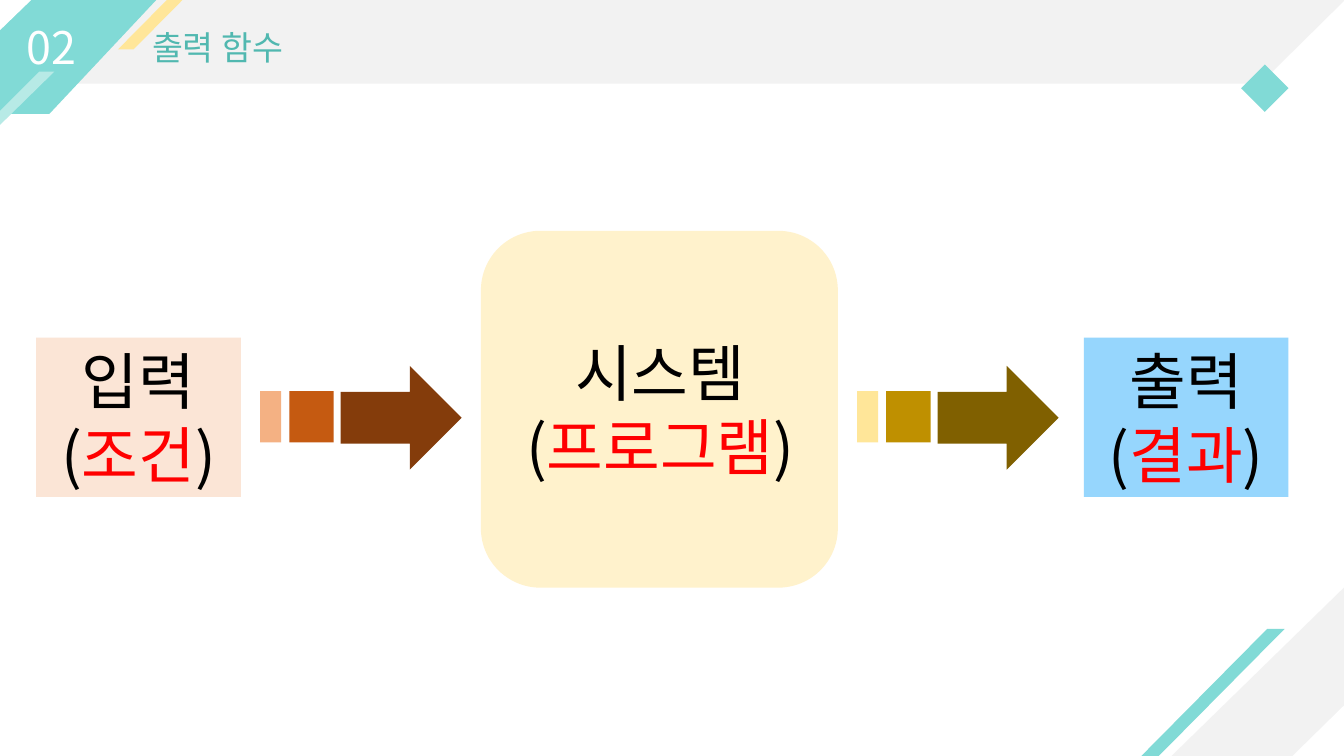
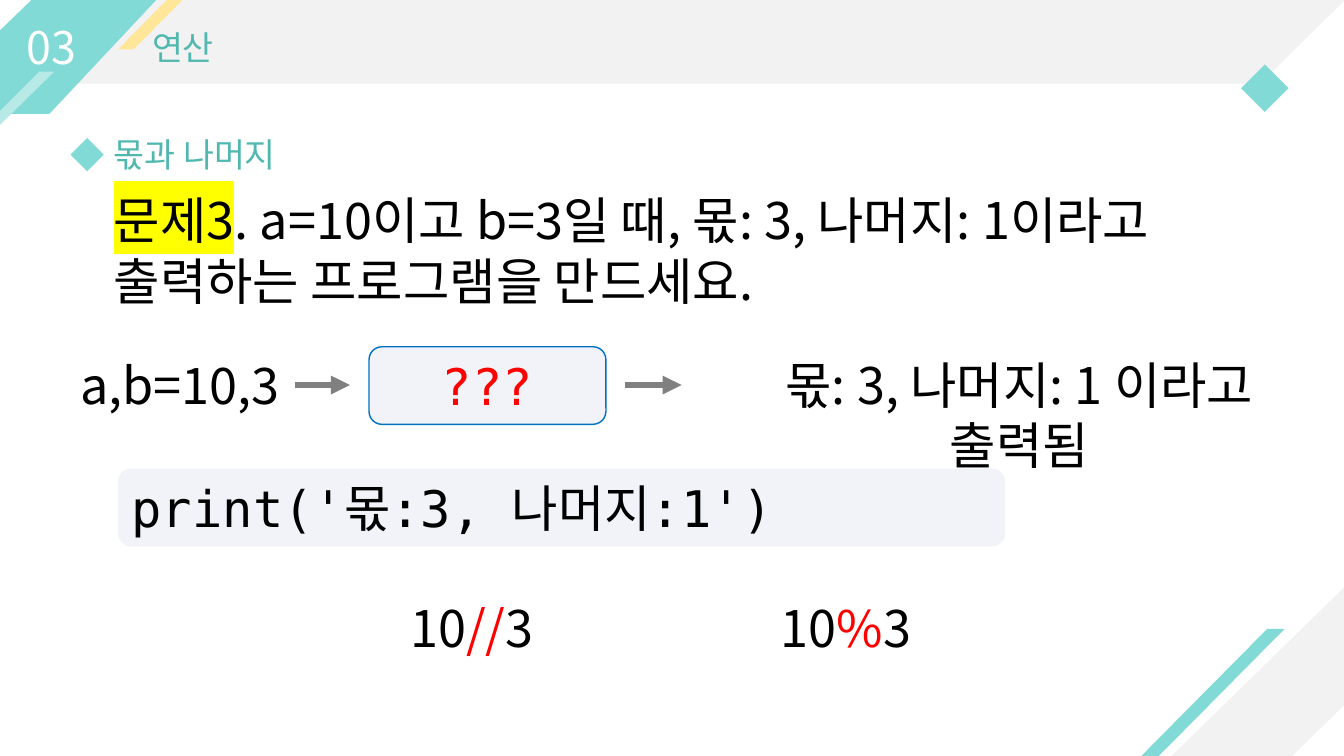
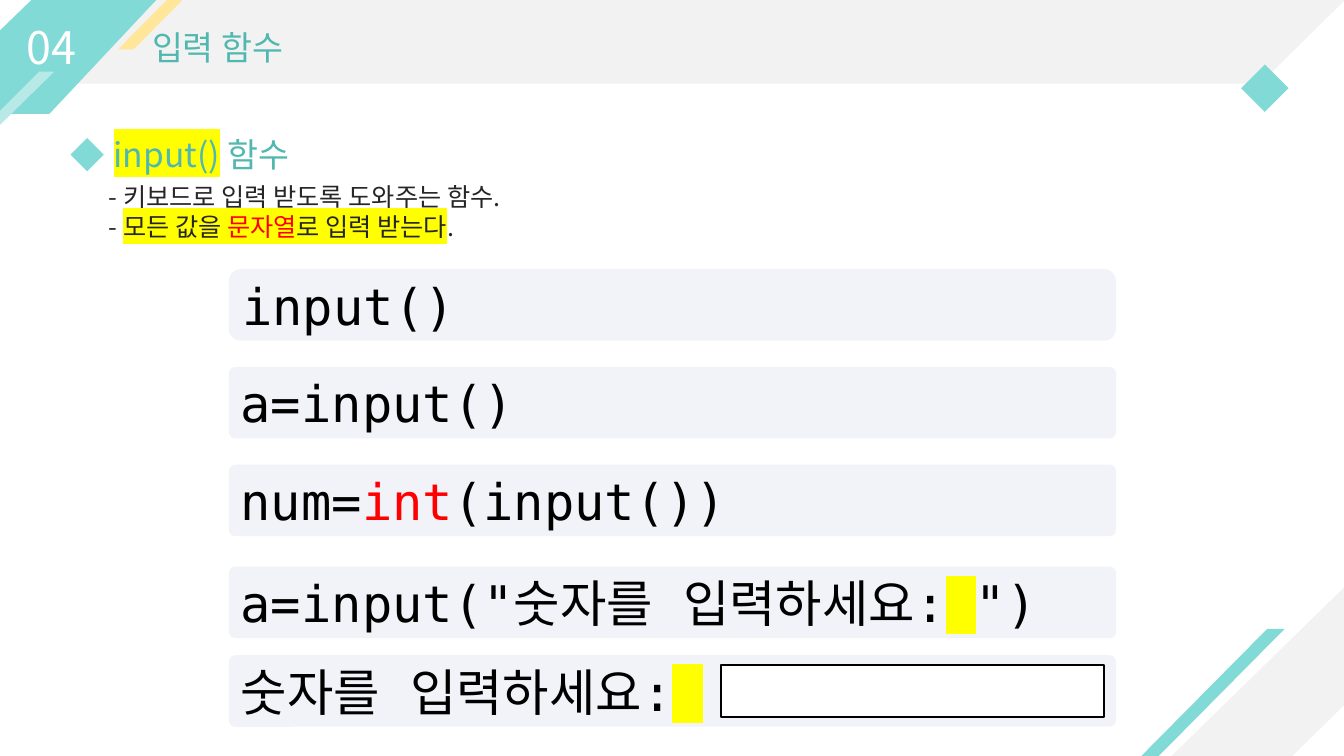
from dataclasses import dataclass

from lxml import etree
from pptx import Presentation
from pptx.dml.color import RGBColor
from pptx.enum.shapes import MSO_CONNECTOR, MSO_SHAPE
from pptx.enum.text import MSO_ANCHOR, MSO_AUTO_SIZE, PP_ALIGN
from pptx.oxml.ns import qn
from pptx.util import Inches, Pt

RECT = MSO_SHAPE.RECTANGLE
ROUND = MSO_SHAPE.ROUNDED_RECTANGLE
DIAMOND = MSO_SHAPE.DIAMOND
SLANT = MSO_SHAPE.PARALLELOGRAM
CORNER = MSO_SHAPE.RIGHT_TRIANGLE
ARROW = MSO_SHAPE.RIGHT_ARROW
STRAIGHT = MSO_CONNECTOR.STRAIGHT
LEFT = PP_ALIGN.LEFT
CENTER = PP_ALIGN.CENTER
TOP = MSO_ANCHOR.TOP
MIDDLE = MSO_ANCHOR.MIDDLE
GROW = MSO_AUTO_SIZE.SHAPE_TO_FIT_TEXT


@dataclass(frozen=True)
class Theme:
    sans: str = "Noto Sans CJK KR"
    mono: str = "DejaVu Sans Mono"
    teal: str = "81DAD6"
    pale_teal: str = "B7EAE6"
    heading: str = "51B8B0"
    band: str = "F2F2F2"
    gold: str = "FFE699"
    white: str = "FFFFFF"
    black: str = "000000"
    body: str = "262626"
    red: str = "FF0000"
    yellow: str = "FFFF00"
    code_fill: str = "F2F3F9"
    blue: str = "0070C0"
    gray: str = "808080"
    system: str = "FFF2CC"
    peach: str = "FBE5D6"
    sky: str = "96D6FD"
    browns: tuple = ("F4B183", "C55A11", "843C0B")
    olives: tuple = ("FFE699", "BF9000", "806000")
    big: int = 44
    large: int = 36
    number: int = 32
    title: int = 24
    small: int = 18


T = Theme()


class Deck:
    """Holds the presentation, its style and the current slide."""

    def __init__(self):
        self.prs = Presentation()
        self.prs.slide_width = Inches(13.33)
        self.prs.slide_height = Inches(7.5)
        self.s = None

    def paint(self, sp, fill, line=None, width=1):
        sp.shadow.inherit = False
        sp.fill.solid()
        sp.fill.fore_color.rgb = RGBColor.from_string(fill)
        if line:
            sp.line.color.rgb = RGBColor.from_string(line)
            sp.line.width = Pt(width)
        else:
            sp.line.fill.background()
        return sp

    def shape(self, kind, x, y, w, h, fill, line=None, width=1, adj=None, flip=None):
        sp = self.s.shapes.add_shape(kind, Inches(x), Inches(y), Inches(w), Inches(h))
        if adj is not None:
            sp.adjustments[0] = adj
        if flip:
            sp._element.spPr.get_or_add_xfrm().set(flip, "1")
        return self.paint(sp, fill, line, width)

    def outline(self, points, fill):
        pts = [(Inches(x), Inches(y)) for x, y in points]
        fb = self.s.shapes.build_freeform(*pts[0], scale=1.0)
        fb.add_line_segments(pts[1:], close=True)
        self.paint(fb.convert_to_shape(), fill)

    def set_text(self, sp, lines, size, color=T.black, font=T.sans, align=CENTER, anchor=TOP):
        tf = sp.text_frame
        tf.word_wrap = True
        tf.vertical_anchor = anchor
        for i, line in enumerate(lines):
            p = tf.add_paragraph() if i else tf.paragraphs[0]
            p.alignment = align
            for part in [line] if isinstance(line, str) else line:
                text, tint, mark = (part, None, None) if isinstance(part, str) else part
                r = p.add_run()
                r.text = text
                r.font.size = Pt(size)
                r.font.color.rgb = RGBColor.from_string(tint or color)
                rPr = r._r.get_or_add_rPr()
                if mark:
                    hl = etree.SubElement(rPr, qn("a:highlight"))
                    etree.SubElement(hl, qn("a:srgbClr")).set("val", mark)
                r.font.name = font
                etree.SubElement(rPr, qn("a:ea")).set("typeface", font)

    def text(self, x, y, w, h, lines, size, color=T.black, align=CENTER):
        sp = self.s.shapes.add_textbox(Inches(x), Inches(y), Inches(w), Inches(h))
        self.set_text(sp, lines, size, color, align=align)
        sp.text_frame.auto_size = GROW

    def code(self, x, y, w, h, line, color=T.black, align=LEFT, border=None, adj=None):
        sp = self.shape(ROUND, x, y, w, h, T.code_fill, border, adj=adj)
        self.set_text(sp, [line], T.large, color, T.mono, align, MIDDLE)

    def arrow(self, x1, x2, y):
        c = self.s.shapes.add_connector(STRAIGHT, Inches(x1), Inches(y), Inches(x2), Inches(y))
        c.line.color.rgb = RGBColor.from_string(T.gray)
        c.line.width = Pt(4.5)
        spPr = c._element.spPr
        etree.SubElement(spPr.find(qn("a:ln")), qn("a:tailEnd")).set("type", "triangle")
        etree.SubElement(spPr, qn("a:effectLst"))

    def striped_arrow(self, x, colors):
        self.shape(ARROW, x + 0.8, 3.63, 1.2, 1.03, colors[2])
        self.shape(RECT, x + 0.29, 3.88, 0.44, 0.51, colors[1])
        self.shape(RECT, x, 3.88, 0.21, 0.51, colors[0])

    def stage(self, x, fill, name, detail):
        sp = self.shape(RECT, x, 3.35, 2.03, 1.58, fill)
        self.set_text(sp, [name, ["(", (detail, T.red, None), ")"]], T.big)

    def heading(self, line):
        self.shape(DIAMOND, 0.7, 1.37, 0.33, 0.33, T.teal)
        self.text(1.03, 1.28, 3.3, 0.5, [line], T.title, T.heading, LEFT)

    def slide(self, number, title):
        self.s = self.prs.slides.add_slide(self.prs.slide_layouts[6])
        self.shape(CORNER, 11.62, 5.83, 1.71, 1.67, T.band, flip="flipH")
        self.shape(SLANT, 0.38, 0, 12.33, 0.83, T.band)
        self.shape(CORNER, 12.5, 0, 0.84, 0.83, T.band, flip="flipV")
        self.shape(DIAMOND, 12.31, 0.64, 0.47, 0.47, T.teal)
        self.outline([(0, 0), (1.55, 0), (0.49, 1.13), (0, 1.13)], T.teal)
        self.shape(CORNER, 0, 0, 0.31, 0.3, T.white, flip="flipV")
        self.shape(CORNER, 12.82, 7, 0.51, 0.5, T.white, flip="flipH")
        self.shape(SLANT, 11.32, 6.24, 1.42, 1.26, T.teal, adj=0.99)
        self.shape(SLANT, 1.17, 0, 0.64, 0.49, T.gold, adj=0.99)
        self.outline([(0, 1.1), (0.39, 0.71), (0.54, 0.71), (0, 1.24)], T.pale_teal)
        self.text(0, 0.15, 1.03, 0.64, [number], T.number, T.white)
        self.text(1.41, 0.22, 4.96, 0.5, [title], T.title, T.heading, LEFT)


def output_slide(d):
    d.slide("02", "출력 함수")
    d.shape(ROUND, 4.77, 2.29, 3.54, 3.54, T.system)
    d.text(4.81, 3.27, 3.48, 1.58, ["시스템", ["(", ("프로그램", T.red, None), ")"]], T.big)
    d.stage(0.36, T.peach, "입력", "조건")
    d.striped_arrow(2.58, T.browns)
    d.striped_arrow(8.5, T.olives)
    d.stage(10.75, T.sky, "출력", "결과")


def operator_slide(d):
    d.slide("03", "연산")
    d.heading("몫과 나머지")
    d.code(1.17, 4.65, 8.8, 0.77, "print('몫:3, 나머지:1')")
    task = ". a=10이고 b=3일 때, 몫: 3, 나머지: 1이라고  출력하는 프로그램을 만드세요."
    d.text(1.03, 1.83, 10.7, 1.31, [[("문제3", None, T.yellow), task]], T.large, align=LEFT)
    d.text(0.53, 3.46, 2.51, 0.71, ["a,b=10,3"], T.large)
    d.arrow(2.93, 3.47, 3.82)
    d.code(3.66, 3.44, 2.35, 0.77, "???", T.red, CENTER, T.blue)
    d.arrow(6.2, 6.76, 3.82)
    d.text(6.95, 3.46, 6.32, 0.71, ["몫: 3, 나머지: 1 이라고 출력됨"], T.large)
    for x, operator in ((3.89, "//"), (7.6, "%")):
        d.text(x, 5.87, 1.58, 0.71, [["10", (operator, T.red, None), "3"]], T.large)


def input_slide(d):
    d.slide("04", "입력 함수")
    d.heading([("input()", None, T.yellow), " 함수"])
    notes = [
        "- 키보드로 입력 받도록 도와주는 함수.",
        ["- ", ("모든 값을 ", None, T.yellow), ("문자열", T.red, T.yellow),
         ("로 입력 받는다", None, T.yellow), "."],
    ]
    d.text(0.98, 1.75, 11.27, 0.71, notes, T.small, T.body, LEFT)
    rows = [
        (2.67, None, "input()"),
        (3.64, 0.09, "a=input()"),
        (4.61, 0.09, ["num=", ("int", T.red, None), "(input())"]),
        (5.62, 0.09, ['a=input("숫자를 입력하세요:', (" ", None, T.yellow), '")']),
        (6.5, 0.09, ["숫자를 입력하세요:", (".", T.yellow, T.yellow), " "]),
    ]
    for y, adj, line in rows:
        d.code(2.27, y, 8.8, 0.71, line, adj=adj)
    d.shape(RECT, 7.15, 6.6, 3.8, 0.51, T.white, T.black, 1.5)


def main():
    d = Deck()
    output_slide(d)
    operator_slide(d)
    input_slide(d)
    d.prs.save("out.pptx")


if __name__ == "__main__":
    main()
